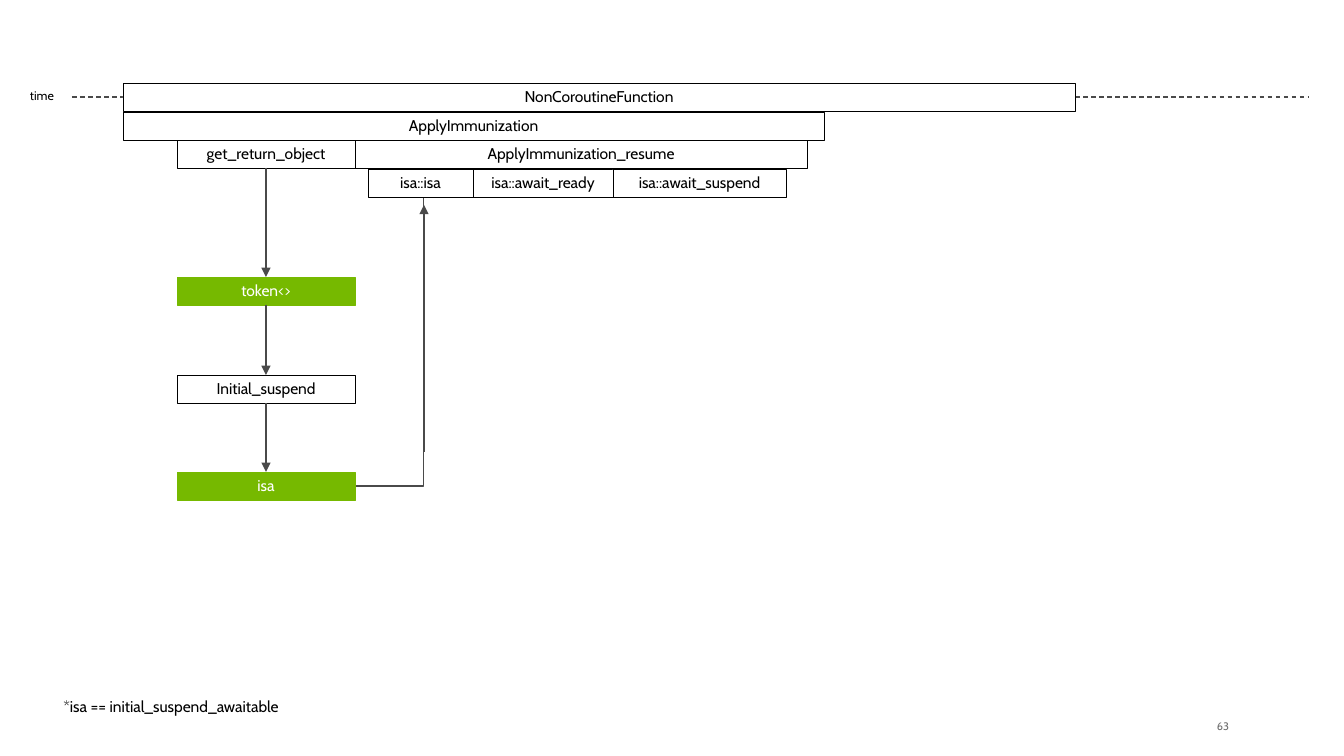
"""Draw a time line of nested coroutine calls and the objects they make."""
from dataclasses import dataclass
from itertools import pairwise

from lxml import etree
from pptx import Presentation
from pptx.dml.color import RGBColor
from pptx.enum.dml import MSO_LINE
from pptx.enum.shapes import MSO_CONNECTOR, MSO_SHAPE
from pptx.enum.text import MSO_ANCHOR, PP_ALIGN
from pptx.oxml.ns import qn
from pptx.util import Emu, Pt

PX = 914400 // 112
FONT = "Cabin"
BLACK, WHITE, GREEN = "000000", "FFFFFF", "76B900"
DARK, GREY = "4A4A4A", "6E6E6E"
RECT = MSO_SHAPE.RECTANGLE
LINE, ELBOW = MSO_CONNECTOR.STRAIGHT, MSO_CONNECTOR.ELBOW
DASH = MSO_LINE.DASH
MID = MSO_ANCHOR.MIDDLE
CENTER, RIGHT = PP_ALIGN.CENTER, PP_ALIGN.RIGHT
HIGH = 28
COL, WIDE = 177, 178
AXIS = COL + WIDE // 2
ROWS = [83, 112, 140, 169]


@dataclass
class Box:
    text: str
    left: int
    top: int
    width: int
    fill: str = WHITE
    edge: str = BLACK
    ink: str = BLACK


CALLS = [
    Box("NonCoroutineFunction", 123, ROWS[0], 952),
    Box("ApplyImmunization", 123, ROWS[1], 701),
    Box("ApplyImmunization_resume", COL + WIDE, ROWS[2], 452),
    Box("isa::isa", 368, ROWS[3], 105),
    Box("isa::await_ready", 473, ROWS[3], 140),
    Box("isa::await_suspend", 613, ROWS[3], 173),
]
CHAIN = [
    Box("get_return_object", COL, ROWS[2], WIDE),
    Box("token<>", COL, 277, WIDE, GREEN, GREEN, WHITE),
    Box("Initial_suspend", COL, 375, WIDE),
    Box("isa", COL, 472, WIDE, GREEN, GREEN, WHITE),
]


def px(*nums: int) -> list[Emu]:
    """Turn pixels into EMU."""
    return [Emu(num * PX) for num in nums]


def color(code: str) -> RGBColor:
    """Turn a hex string into a colour."""
    return RGBColor.from_string(code)


def write(shape, text: str, size: int, ink: str, align=CENTER, wrap=True) -> None:
    """Put one run of text in a shape."""
    frame = shape.text_frame
    frame.word_wrap = wrap
    frame.vertical_anchor = MID
    frame.margin_left = frame.margin_right = 0
    frame.margin_top = frame.margin_bottom = 0
    para = frame.paragraphs[0]
    para.alignment = align
    para.line_spacing = 0.9
    run = para.add_run()
    run.text = text
    run.font.name = FONT
    run.font.size = Pt(size)
    run.font.color.rgb = color(ink)


def draw_box(slide, box: Box) -> None:
    """Draw a labelled bar."""
    shape = slide.shapes.add_shape(RECT, *px(box.left, box.top, box.width, HIGH))
    shape.shadow.inherit = False
    shape.fill.solid()
    shape.fill.fore_color.rgb = color(box.fill)
    shape.line.color.rgb = color(box.edge)
    shape.line.width = Pt(0.5)
    write(shape, box.text, 10, box.ink)


def draw_line(slide, ends: tuple[int, ...], kind=LINE, arrow=True):
    """Draw a thin connector, with an arrowhead if asked."""
    wire = slide.shapes.add_connector(kind, *px(*ends))
    wire.line.color.rgb = color(DARK)
    wire.line.width = Pt(0.75)
    if arrow:
        etree.SubElement(wire.line._get_or_add_ln(), qn("a:tailEnd"), type="triangle")
    etree.SubElement(wire._element.spPr, qn("a:effectLst"))
    return wire


def draw_note(slide, spot: tuple[int, ...], text: str, size: int,
              ink: str = BLACK, align=CENTER) -> None:
    """Draw a text box on one line."""
    note = slide.shapes.add_textbox(*px(*spot))
    write(note, text, size, ink, align, wrap=False)


def bend(wire, ratio: float) -> None:
    """Set where an elbow turns, as a share of its width."""
    geom = wire._element.spPr.find(qn("a:prstGeom"))
    guides = geom.find(qn("a:avLst"))
    if guides is None:
        guides = etree.SubElement(geom, qn("a:avLst"))
    etree.SubElement(guides, qn("a:gd"), name="adj1", fmla=f"val {round(ratio * 100000)}")


def main() -> None:
    """Build and save the slide."""
    deck = Presentation()
    deck.slide_width, deck.slide_height = px(1344, 756)
    slide = deck.slides.add_slide(deck.slide_layouts[6])

    mid = HIGH // 2
    start, end, turn = COL + WIDE, 613, 424
    elbow = draw_line(slide, (start, CHAIN[-1].top + mid, end, ROWS[3] + mid), ELBOW)
    bend(elbow, (turn - start) / (end - start))
    axis = draw_line(slide, (72, ROWS[0] + mid, 1309, ROWS[0] + mid), arrow=False)
    axis.line.dash_style = DASH

    for box in CALLS + CHAIN:
        draw_box(slide, box)
    for above, below in pairwise(CHAIN):
        draw_line(slide, (AXIS, above.top + HIGH, AXIS, below.top))
    draw_line(slide, (turn, 452, turn, 205))

    draw_note(slide, (18, 85, 48, 24), "time", 8)
    draw_note(slide, (43, 693, 256, HIGH), "*isa == initial_suspend_awaitable", 10)
    draw_note(slide, (1194, 718, 35, 17), "63", 7, GREY, RIGHT)
    deck.save("out.pptx")


if __name__ == "__main__":
    main()
